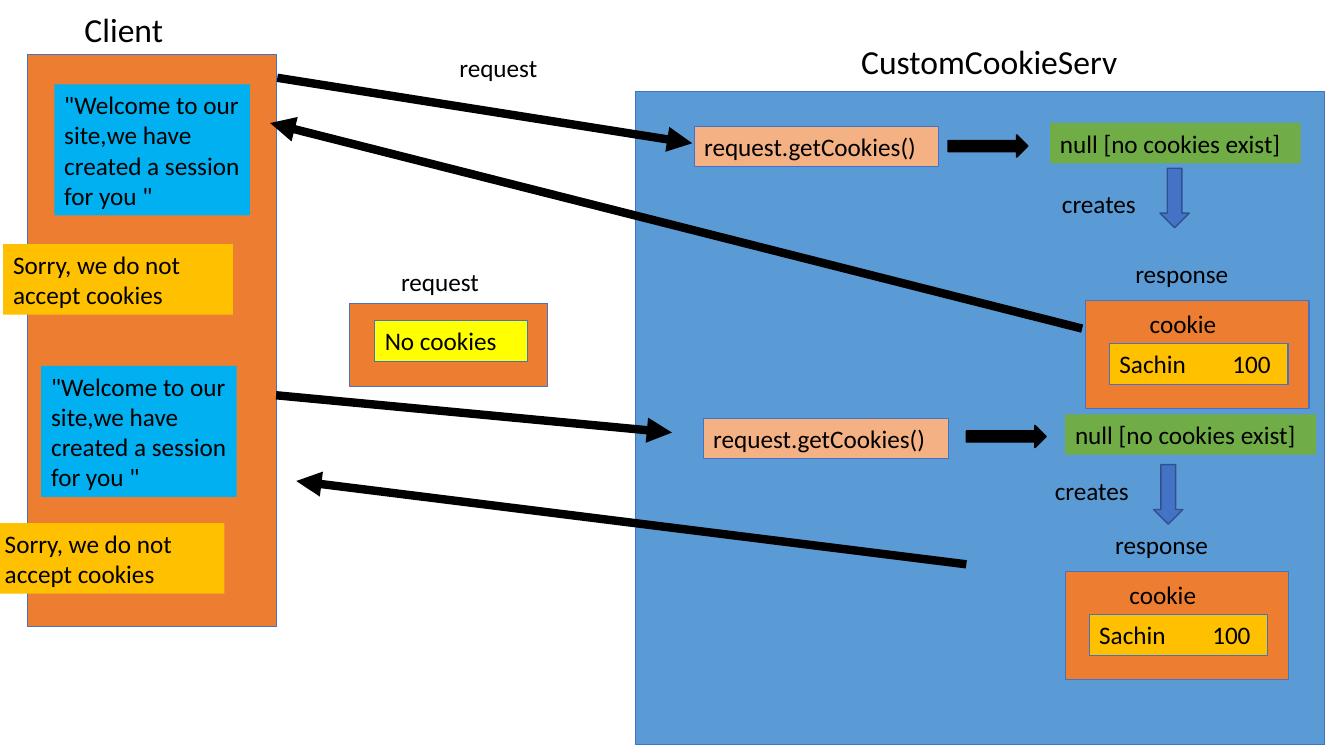
import dataclasses
import lxml.etree
import pptx
import pptx.dml.color
import pptx.enum.shapes
import pptx.enum.text
import pptx.oxml.ns
import pptx.util


@dataclasses.dataclass(frozen=True)
class Theme:
    font: str = "Calibri"
    heading: int = 24
    body: int = 18
    ink: str = "000000"
    outline: str = "4472C4"
    arrow_outline: str = "2F528F"
    server: str = "5B9BD5"
    orange: str = "ED7D31"
    call: str = "F4B183"
    gold: str = "FFC000"
    green: str = "70AD47"
    message: str = "00B0F0"
    yellow: str = "FFFF00"


theme = Theme()
Cm = pptx.util.Cm
kinds = pptx.enum.shapes.MSO_SHAPE
color = pptx.dml.color.RGBColor.from_string
qn = pptx.oxml.ns.qn

deck = pptx.Presentation()
deck.slide_width, deck.slide_height = Cm(33.88), Cm(19.05)
page = deck.slides.add_slide(deck.slide_layouts[6])


def add_block(left, top, width, height, fill, line=None, kind=kinds.RECTANGLE, weight=0.75):
    block = page.shapes.add_shape(kind, Cm(left), Cm(top), Cm(width), Cm(height))
    block.shadow.inherit = False
    block.fill.solid()
    block.fill.fore_color.rgb = color(fill)
    if line:
        block.line.color.rgb = color(line)
        block.line.width = pptx.util.Pt(weight)
    else:
        block.line.fill.background()
    return block


def add_text(text, left, top, width, height=1.02, fill=None, line=None, size=theme.body, tab=None):
    if fill:
        box = add_block(left, top, width, height, fill, line)
    else:
        box = page.shapes.add_textbox(Cm(left), Cm(top), Cm(width), Cm(height))
    frame = box.text_frame
    frame.word_wrap = True
    frame.vertical_anchor = pptx.enum.text.MSO_ANCHOR.TOP
    para = frame.paragraphs[0]
    para.alignment = pptx.enum.text.PP_ALIGN.LEFT
    if tab:
        stops = lxml.etree.SubElement(para._p.get_or_add_pPr(), qn("a:tabLst"))
        lxml.etree.SubElement(stops, qn("a:tab"), pos=str(Cm(tab)), algn="l")
    span = para.add_run()
    span.text = text
    span.font.name = theme.font
    span.font.size = pptx.util.Pt(size)
    span.font.color.rgb = color(theme.ink)


add_block(16.03, 2.31, 17.37, 16.46, theme.server, theme.outline)
add_block(0.69, 1.37, 6.27, 14.43, theme.orange, theme.outline)
add_text("CustomCookieServ", 21.46, 0.91, 9.37, 1.27, size=theme.heading)
add_text("Client", 1.88, 0.1, 4.65, 1.27, size=theme.heading)

for left, top in [(1.37, 2.13), (1.04, 9.22)]:
    add_text('"Welcome to our site,we have created a session for you "',
             left, top, 4.93, 3.3, theme.message)

for left, top in [(0.08, 6.15), (-0.13, 13.18)]:
    add_text("Sorry, we do not accept cookies", left, top, 5.79, 1.78, theme.gold)

for left, top in [(17.5, 3.18), (17.73, 10.54)]:
    add_text("request.getCookies()", left, top, 6.17, fill=theme.call, line=theme.outline)

for left, top in [(23.9, 3.4), (24.36, 10.72)]:
    add_block(left, top, 2.01, 0.56, theme.ink, theme.ink, kinds.RIGHT_ARROW, 1)

for left, top in [(26.47, 3.1), (26.85, 10.44)]:
    add_text("null [no cookies exist]", left, top, 6.32, fill=theme.green)

for left, top in [(29.24, 4.24), (29.08, 11.71)]:
    add_block(left, top, 0.74, 1.5, theme.outline, theme.arrow_outline, kinds.DOWN_ARROW, 1)

for left, top in [(26.52, 4.62), (26.34, 11.86)]:
    add_text("creates", left, top, 2.64)

for left, top in [(27.36, 7.57), (26.85, 14.4)]:
    add_text("response", left + 1.01, top - 1.19, 3.35)
    add_block(left, top, 5.64, 2.72, theme.orange, theme.outline)
    add_text("cookie", left + 1.37, top + 0.08, 3.33)
    add_text("Sachin\t100", left + 0.61, top + 1.09, 4.5,
             fill=theme.gold, line=theme.outline, tab=2.85)

for left, top in [(11.33, 1.19), (9.86, 6.58)]:
    add_text("request", left, top, 3.35)
add_block(8.81, 7.65, 5, 2.08, theme.orange, theme.outline)
add_text("No cookies", 9.45, 8.08, 3.84, fill=theme.yellow, line=theme.outline)

messages = [
    (6.99, 1.96, 17.45, 3.61),
    (27.28, 8.28, 6.81, 3.1),
    (6.96, 9.96, 16.94, 10.9),
    (24.36, 14.22, 7.47, 12.12),
]
for ends in messages:
    arrow = page.shapes.add_connector(
        pptx.enum.shapes.MSO_CONNECTOR.STRAIGHT, *[Cm(end) for end in ends])
    arrow.line.color.rgb = color(theme.ink)
    arrow.line.width = pptx.util.Pt(6)
    lxml.etree.SubElement(arrow.line._get_or_add_ln(), qn("a:tailEnd"), type="triangle")
    lxml.etree.SubElement(arrow._element.spPr, qn("a:effectLst"))

deck.save("out.pptx")
